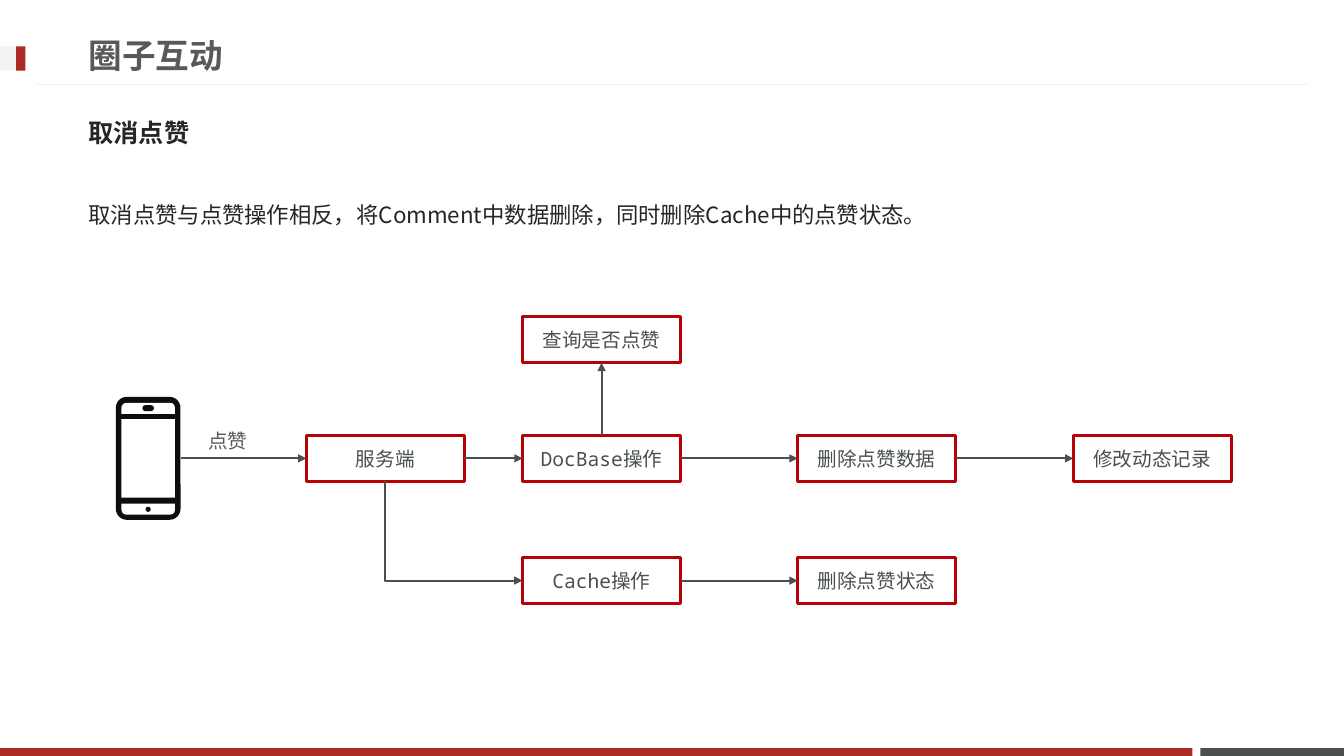
from dataclasses import dataclass

from lxml import etree
from pptx import Presentation
from pptx.dml.color import RGBColor
from pptx.enum.lang import MSO_LANGUAGE_ID
from pptx.enum.shapes import MSO_CONNECTOR, MSO_SHAPE
from pptx.enum.text import MSO_ANCHOR, PP_ALIGN
from pptx.oxml.ns import qn
from pptx.util import Cm, Pt

RECTANGLE, ROUNDED = MSO_SHAPE.RECTANGLE, MSO_SHAPE.ROUNDED_RECTANGLE
ROUND_TOP, OVAL = MSO_SHAPE.ROUND_2_SAME_RECTANGLE, MSO_SHAPE.OVAL
STRAIGHT, ELBOW = MSO_CONNECTOR.STRAIGHT, MSO_CONNECTOR.ELBOW
TOP, MIDDLE = MSO_ANCHOR.TOP, MSO_ANCHOR.MIDDLE
LEFT, CENTER = PP_ALIGN.LEFT, PP_ALIGN.CENTER
CHINESE = MSO_LANGUAGE_ID.SIMPLIFIED_CHINESE
SITE_TOP, SITE_LEFT, SITE_BOTTOM, SITE_RIGHT = range(4)


@dataclass(frozen=True)
class Theme:
    red: str = "AD2B26"
    border: str = "B60206"
    slate: str = "49504F"
    gray: str = "595959"
    pale: str = "F2F2F2"
    ink: str = "262626"
    black: str = "0D0D0D"
    white: str = "FFFFFF"
    latin: str = "Lato"
    chinese: str = "Noto Sans CJK JP"
    mono: str = "Noto Sans Mono"
    title: int = 24
    subtitle: int = 18
    body: int = 16
    label: int = 14


@dataclass(frozen=True)
class Box:
    """A rectangle in centimetres."""
    left: float
    top: float
    width: float
    height: float

    def inside(self, left, top, width, height):
        return Box(self.left + left, self.top + top, width, height)

    def lengths(self):
        return [Cm(n) for n in (self.left, self.top, self.width, self.height)]


THEME = Theme()


def color(value):
    return RGBColor.from_string(value)


def write(frame, text, size, font, ink, bold=False, align=LEFT, spacing=1.0):
    para = frame.paragraphs[0]
    para.alignment = align
    para.line_spacing = spacing
    span = para.add_run()
    span.text = text
    span.font.size = Pt(size)
    span.font.bold = bold
    span.font.name = font
    span.font.color.rgb = color(ink)
    span.font.language_id = CHINESE
    east_asian = etree.SubElement(span.font._element, qn("a:ea"))
    east_asian.set("typeface", THEME.chinese)


def add_text(page, box, text, size, font, ink, anchor=MIDDLE, wrap=True, **style):
    frame = page.shapes.add_textbox(*box.lengths()).text_frame
    frame.word_wrap = wrap
    frame.vertical_anchor = anchor
    write(frame, text, size, font, ink, **style)


def add_block(page, box, fill=None, line=None, kind=RECTANGLE):
    block = page.shapes.add_shape(kind, *box.lengths())
    block.shadow.inherit = False
    if fill:
        block.fill.solid()
        block.fill.fore_color.rgb = color(fill)
    else:
        block.fill.background()
    if line:
        block.line.color.rgb = color(line)
        block.line.width = Pt(2)
    else:
        block.line.fill.background()
    return block


def add_line(page, ink, width, kind=STRAIGHT, ends=(0, 0, 0, 0)):
    line = page.shapes.add_connector(kind, *[Cm(n) for n in ends])
    line.line.color.rgb = color(ink)
    line.line.width = Pt(width)
    etree.SubElement(line._element.spPr, qn("a:effectLst"))
    return line


def add_arrow(page, start, start_site, end, end_site, kind=STRAIGHT):
    arrow = add_line(page, THEME.slate, 1.5, kind)
    arrow.begin_connect(start, start_site)
    arrow.end_connect(end, end_site)
    etree.SubElement(arrow.line._get_or_add_ln(), qn("a:tailEnd")).set("type", "triangle")
    return arrow


def add_corner_arrow(page, start, end):
    """Runs down from start, then right into end."""
    arrow = add_arrow(page, start, SITE_BOTTOM, end, SITE_LEFT, ELBOW)
    # A quarter turn swaps width and height about the same centre
    width, height = arrow.width, arrow.height
    arrow.left += (width - height) // 2
    arrow.top += (height - width) // 2
    arrow.width, arrow.height = height, width
    properties = arrow._element.spPr
    properties.find(qn("a:prstGeom")).set("prst", "bentConnector2")
    frame = properties.find(qn("a:xfrm"))
    frame.set("rot", "16200000")
    frame.set("flipH", "1")


def draw_frame(page, box):
    # Footer bars
    add_block(page, box.inside(30.25, 18.85, 3.62, 0.2), THEME.slate)
    add_block(page, box.inside(0, 18.85, 30.05, 0.2), THEME.red)
    # Header rule and marker
    y = box.top + 2.13
    add_line(page, THEME.pale, 0.75, ends=(box.left + 0.89, y, box.left + 32.97, y))
    add_block(page, box.inside(0, 1.17, 0.64, 0.61), THEME.pale)
    add_block(page, box.inside(0.41, 1.17, 0.23, 0.61), THEME.red)


def draw_text(page, box):
    add_text(page, box.inside(0, 0, 24.36, 1.45), "圈子互动",
             THEME.title, THEME.latin, THEME.gray, bold=True)
    add_text(page, box.inside(0, 1.96, box.width, 1.45), "取消点赞",
             THEME.subtitle, THEME.chinese, THEME.ink, bold=True)
    add_text(page, box.inside(0, 3.94, box.width, 2),
             "取消点赞与点赞操作相反，将Comment中数据删除，同时删除Cache中的点赞状态。",
             THEME.body, THEME.chinese, THEME.ink, anchor=TOP, spacing=1.5)


def draw_phone(page, box):
    case = add_block(page, box, THEME.black, kind=ROUNDED)
    case.adjustments[0] = 0.17
    # Earpiece panel, screen and button panel
    for top, height, kind, turn in ((0.15, 0.28, ROUND_TOP, 0),
                                    (0.56, 1.98, RECTANGLE, 0),
                                    (2.69, 0.28, ROUND_TOP, 180)):
        panel = add_block(page, box.inside(0.14, top, 1.35, height), THEME.white, kind=kind)
        panel.rotation = turn
        if kind == ROUND_TOP:
            panel.adjustments[0] = 0.45
    earpiece = add_block(page, box.inside(0.67, 0.21, 0.29, 0.15), THEME.black, kind=ROUNDED)
    earpiece.adjustments[0] = 0.5
    add_block(page, box.inside(0.75, 2.77, 0.13, 0.13), THEME.black, kind=OVAL)
    return case


def draw_flow(page, box):
    columns = (4.8, 10.25, 17.18, 24.13)
    rows = (0, 2.99, 6.07)
    step_width, step_height = 3.98, 1.16

    def add_step(text, column, row):
        step = add_block(page, box.inside(columns[column], rows[row], step_width, step_height),
                         line=THEME.border)
        step.text_frame.vertical_anchor = MIDDLE
        write(step.text_frame, text, THEME.label, THEME.mono, THEME.slate, align=CENTER)
        return step

    # Steps
    phone = draw_phone(page, box.inside(0, 2.02, 1.63, 3.1))
    server = add_step("服务端", 0, 1)
    query = add_step("查询是否点赞", 1, 0)
    database = add_step("DocBase操作", 1, 1)
    cache = add_step("Cache操作", 1, 2)
    delete_data = add_step("删除点赞数据", 2, 1)
    delete_state = add_step("删除点赞状态", 2, 2)
    update = add_step("修改动态记录", 3, 1)

    # Arrows
    for start, end in ((phone, server), (server, database), (database, delete_data),
                       (delete_data, update), (cache, delete_state)):
        add_arrow(page, start, SITE_RIGHT, end, SITE_LEFT)
    add_arrow(page, database, SITE_TOP, query, SITE_BOTTOM)
    add_corner_arrow(page, server, cache)
    add_text(page, box.inside(2.08, 2.71, 1.5, 0.86), "点赞",
             THEME.label, THEME.latin, THEME.gray, anchor=TOP, wrap=False)


deck = Presentation()
deck.slide_width, deck.slide_height = Cm(33.87), Cm(19.05)
page = deck.slides.add_slide(deck.slide_layouts[6])
draw_frame(page, Box(0, 0, 33.87, 19.05))
draw_text(page, Box(1.98, 0.66, 29.72, 6))
draw_flow(page, Box(2.92, 7.98, 28.11, 7.23))
deck.save("out.pptx")
